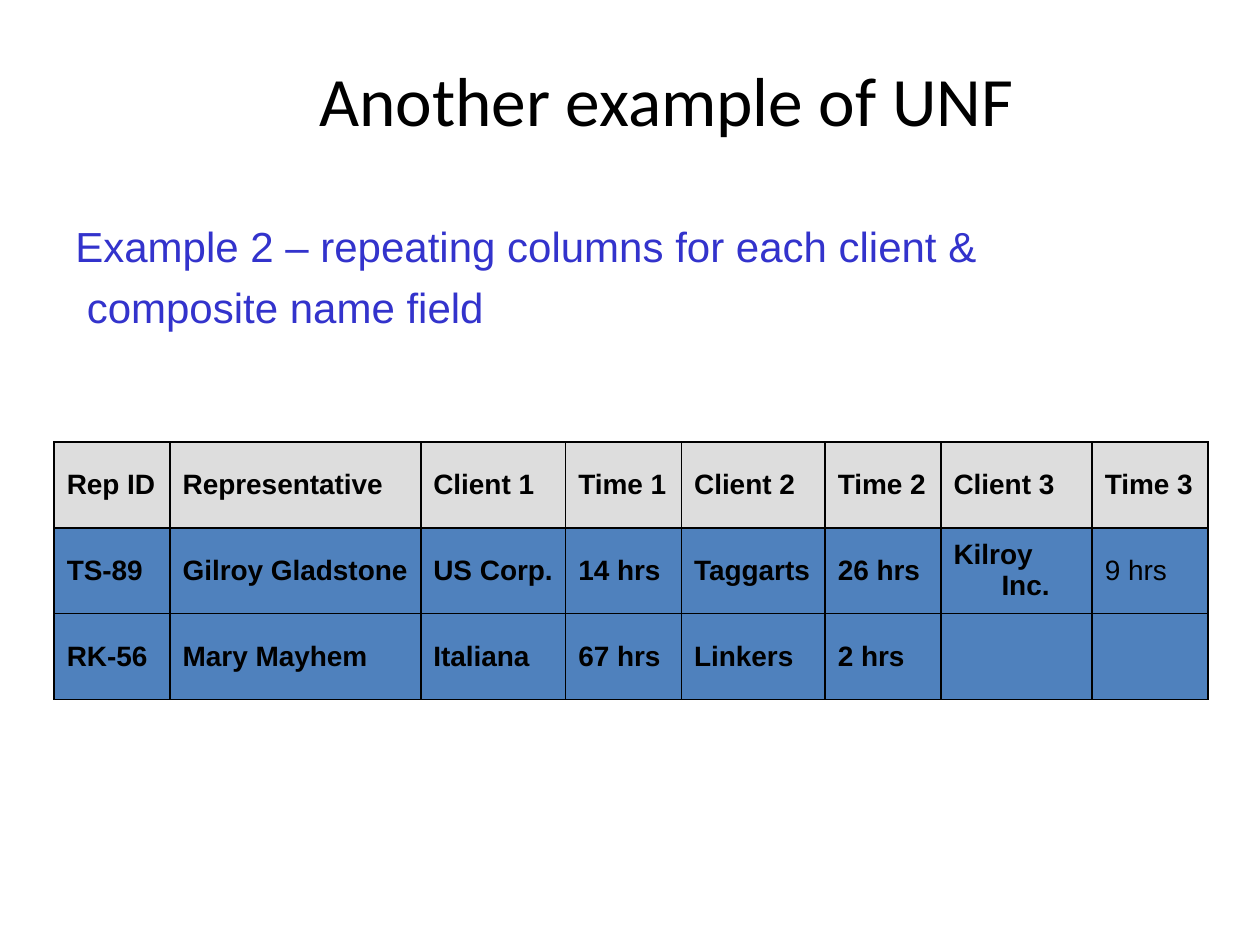
from lxml import etree
from pptx import Presentation, util as u
from pptx.dml.color import RGBColor
from pptx.enum import text
from pptx.oxml.ns import qn


def color(code):
    return RGBColor.from_string(code)


def write(frame, lines, size=16, font="Arial", ink="000000", bold=False,
          align=None, gap=0, left=0, hang=0):
    for i, line in enumerate(lines):
        para = frame.paragraphs[0] if i == 0 else frame.add_paragraph()
        props = para._p.get_or_add_pPr()
        if left or hang:
            props.set("marL", str(u.Inches(left)))
            props.set("indent", str(u.Inches(hang)))
        para.alignment = align
        para.space_before = u.Pt(gap if i else 0)
        run = para.add_run()
        run.text = line
        run.font.size = u.Pt(size)
        run.font.name = font
        run.font.bold = bold
        run.font.color.rgb = color(ink)


deck = Presentation()
deck.slide_width, deck.slide_height = u.Inches(10), u.Inches(7.5)
slide = deck.slides.add_slide(deck.slide_layouts[6])

# Title
box = slide.shapes.add_textbox(u.Inches(1.83), u.Inches(0.4), u.Inches(6.92), u.Inches(0.77))
title = box.text_frame
title.word_wrap = True
title.vertical_anchor = text.MSO_ANCHOR.MIDDLE
write(title, ["Another example of UNF"], size=39.6, font="Calibri",
      align=text.PP_ALIGN.CENTER)

# Table of representatives and their clients
rows = [
    ["Rep ID", "Representative", "Client 1", "Time 1", "Client 2", "Time 2", "Client 3", "Time 3"],
    ["TS-89", "Gilroy Gladstone", "US Corp.", "14 hrs", "Taggarts", "26 hrs", "Kilroy Inc.", "9 hrs"],
    ["RK-56", "Mary Mayhem", "Italiana", "67 hrs", "Linkers", "2 hrs", "", ""],
]
widths = [0.92, 1.99, 1.15, 0.92, 1.14, 0.92, 1.2, 0.92]
high = 0.68
grid = slide.shapes.add_table(len(rows), len(widths), u.Inches(0.43), u.Inches(3.51),
                              u.Inches(sum(widths)), u.Inches(high * len(rows))).table
for col, width in zip(grid.columns, widths):
    col.width = u.Inches(width)
for r, row in enumerate(rows):
    grid.rows[r].height = u.Inches(high)
    for c, word in enumerate(row):
        cell = grid.cell(r, c)
        cell.vertical_anchor = text.MSO_ANCHOR.MIDDLE
        # Borders go before the fill
        props = cell._tc.get_or_add_tcPr()
        for side in ("a:lnL", "a:lnR", "a:lnT", "a:lnB"):
            line = etree.SubElement(props, qn(side), w=str(u.Pt(1)))
            solid = etree.SubElement(line, qn("a:solidFill"))
            etree.SubElement(solid, qn("a:srgbClr"), val="000000")
        cell.fill.solid()
        cell.fill.fore_color.rgb = color("4F81BD" if r else "DDDDDD")
        if word:
            write(cell.text_frame, [word], bold=word != "9 hrs", left=0.38, hang=-0.38)

# Example caption, second line slightly indented
box = slide.shapes.add_textbox(u.Inches(0.5), u.Inches(1.7), u.Inches(8.58), u.Inches(0.98))
note = box.text_frame
note.word_wrap = True
write(note, ["Example 2 – repeating columns for each client &"], size=24, ink="3333CC")
para = note.add_paragraph()
para.space_before = u.Pt(6)
para._p.get_or_add_pPr().set("marL", str(u.Inches(0.09)))
run = para.add_run()
run.text = "composite name field"
run.font.size = u.Pt(24)
run.font.name = "Arial"
run.font.color.rgb = color("3333CC")

deck.save("out.pptx")
